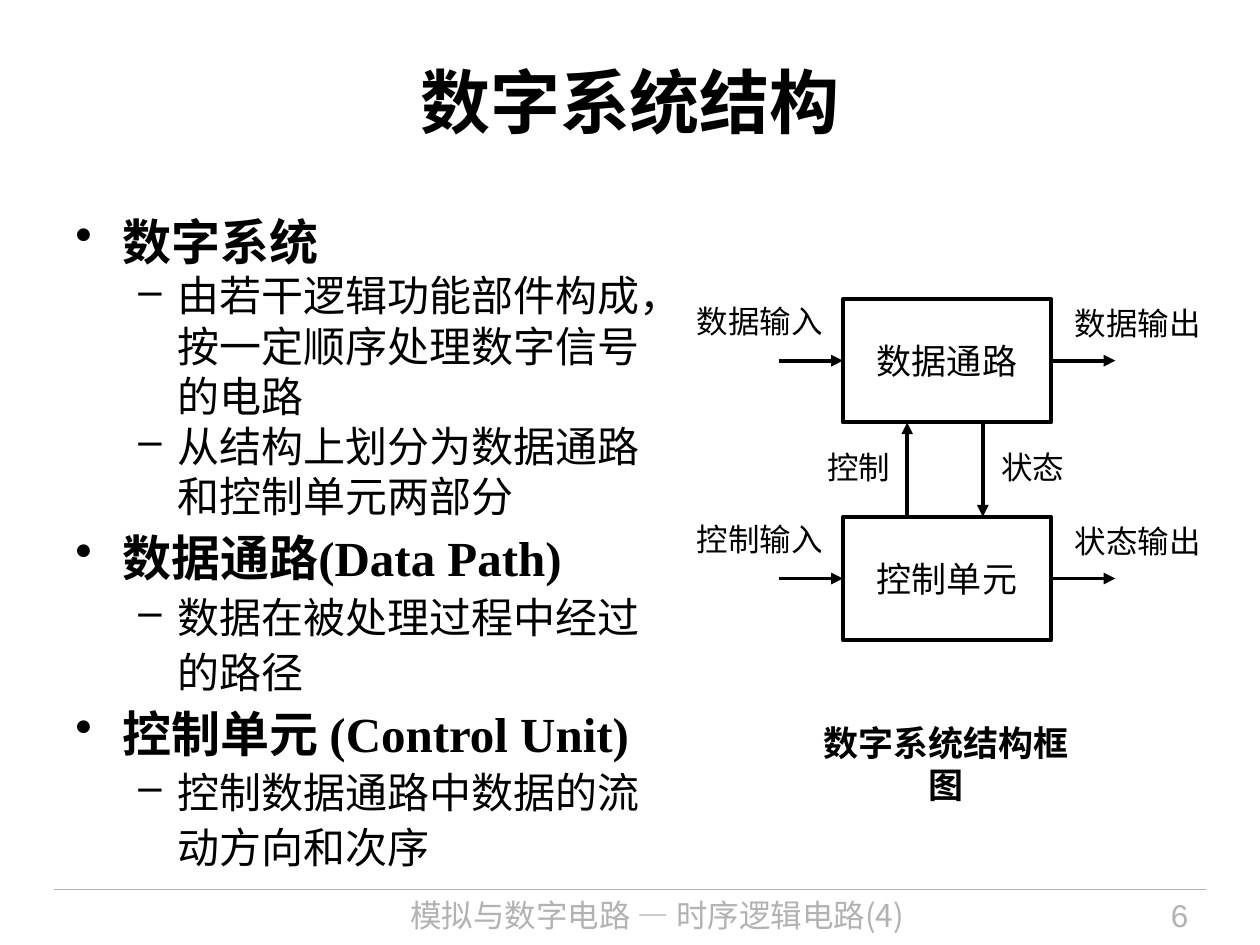
from dataclasses import dataclass

from lxml.etree import SubElement
from pptx import Presentation
from pptx.dml.color import RGBColor
from pptx.enum.shapes import MSO_CONNECTOR, MSO_SHAPE
from pptx.enum.text import MSO_ANCHOR, PP_ALIGN
from pptx.oxml.ns import qn
from pptx.util import Pt


@dataclass(frozen=True)
class Theme:
    """Colours, fonts and type sizes of the slide."""
    ink: RGBColor = RGBColor(0, 0, 0)
    muted: RGBColor = RGBColor(0xB2, 0xB2, 0xB2)
    serif: str = "Times New Roman"
    sans: str = "Arial"
    chinese: str = "Noto Sans CJK SC"
    title: float = 40
    heading: float = 28
    body: float = 24
    block: float = 20
    label: float = 18


THEME = Theme()
BODY = [
    ("数字系统", 0, 37),
    ("由若干逻辑功能部件构成，按一定顺序处理数字信号的电路", 1, 28.7),
    ("从结构上划分为数据通路和控制单元两部分", 1, 28.7),
    ("数据通路(Data Path)", 0, 37.5),
    ("数据在被处理过程中经过的路径", 1, 31.4),
    ("控制单元 (Control Unit)", 0, 37.5),
    ("控制数据通路中数据的流动方向和次序", 1, 31.4),
]
BLOCK_LEFT, BLOCK_WIDTH, BLOCK_HEIGHT = 481.7, 119, 70.6
ARROW_LENGTH = 36.7
BLOCKS = [("数据通路", "数据输入", "数据输出", 170.8), ("控制单元", "控制输入", "状态输出", 295.3)]


def set_font(paragraph, size, name=THEME.serif, color=THEME.ink, bold=False):
    """Set the font of a whole paragraph, for Latin and Chinese text."""
    font = paragraph.font
    font.size, font.bold = Pt(size), bold
    font.color.rgb = color
    font.name = name
    defaults = paragraph._p.pPr.find(qn("a:defRPr"))
    SubElement(defaults, qn("a:ea"), typeface=THEME.chinese)


def add_text(slide, text, box, size, align=PP_ALIGN.LEFT, wrap=False, anchor=MSO_ANCHOR.TOP, **font):
    """Add a one-paragraph text box."""
    frame = slide.shapes.add_textbox(*map(Pt, box)).text_frame
    frame.word_wrap, frame.vertical_anchor = wrap, anchor
    paragraph = frame.paragraphs[0]
    paragraph.text, paragraph.alignment = text, align
    set_font(paragraph, size, **font)


def add_outline(slide, box):
    """Add the two-level bulleted text."""
    frame = slide.shapes.add_textbox(*map(Pt, box)).text_frame
    frame.word_wrap = True
    for index, (text, level, spacing) in enumerate(BODY):
        paragraph = frame.add_paragraph() if index else frame.paragraphs[0]
        paragraph.text, paragraph.level = text, level
        paragraph.line_spacing = Pt(spacing)
        margin, hanging = ((27, 27), (58.5, 22.5))[level]
        properties = paragraph._p.get_or_add_pPr()
        properties.set("marL", str(Pt(margin)))
        properties.set("indent", str(-Pt(hanging)))
        bullet_color = SubElement(properties, qn("a:buClr"))
        SubElement(bullet_color, qn("a:srgbClr"), val=str(THEME.ink))
        SubElement(properties, qn("a:buChar"), char="•–"[level])
        set_font(paragraph, (THEME.heading, THEME.body)[level], bold=level == 0)


def add_line(slide, start, end, color=THEME.ink, width=2.25, arrow=True):
    """Add a straight connector, with an arrowhead at its end by default."""
    connector = slide.shapes.add_connector(MSO_CONNECTOR.STRAIGHT, *map(Pt, (*start, *end)))
    connector.line.color.rgb, connector.line.width = color, Pt(width)
    if arrow:
        SubElement(connector.line._get_or_add_ln(), qn("a:tailEnd"), type="triangle")
    SubElement(connector._element.spPr, qn("a:effectLst"))
    return connector


def add_block(slide, text, top):
    """Add an outlined rectangle of the block diagram."""
    box = map(Pt, (BLOCK_LEFT, top, BLOCK_WIDTH, BLOCK_HEIGHT))
    shape = slide.shapes.add_shape(MSO_SHAPE.RECTANGLE, *box)
    shape.shadow.inherit = False
    shape.fill.background()
    shape.line.color.rgb, shape.line.width = THEME.ink, Pt(2.25)
    frame = shape.text_frame
    frame.margin_left = frame.margin_right = frame.margin_top = frame.margin_bottom = 0
    frame.word_wrap, frame.vertical_anchor = False, MSO_ANCHOR.MIDDLE
    paragraph = frame.paragraphs[0]
    paragraph.text, paragraph.alignment = text, PP_ALIGN.CENTER
    set_font(paragraph, THEME.block)
    return shape


def add_diagram(slide):
    """Add both blocks, their inputs and outputs, and the signals between them."""
    right = BLOCK_LEFT + BLOCK_WIDTH
    for name, source, target, top in BLOCKS:
        block = add_block(slide, name, top)
        middle = top + BLOCK_HEIGHT / 2
        incoming = add_line(slide, (BLOCK_LEFT - ARROW_LENGTH, middle), (BLOCK_LEFT, middle))
        incoming.end_connect(block, 1)
        outgoing = add_line(slide, (right, middle), (right + ARROW_LENGTH, middle))
        outgoing.begin_connect(block, 3)
        add_text(slide, source, (391, top - 1.5, 86.4, 28.8), THEME.label)
        add_text(slide, target, (607, top - 0.5, 86.4, 28.8), THEME.label)
    upper, lower = BLOCKS[0][-1] + BLOCK_HEIGHT, BLOCKS[1][-1]
    add_line(slide, (518.4, lower), (518.4, upper))
    add_line(slide, (561.6, upper), (561.6, lower))
    add_text(slide, "控制", (465.8, 252.4, 50.4, 28.8), THEME.label)
    add_text(slide, "状态", (565.2, 252.4, 50.4, 28.8), THEME.label)
    add_text(slide, "数字系统结构框图", (453.6, 409, 174.2, 31.7), THEME.block,
             PP_ALIGN.CENTER, name=THEME.sans, bold=True)


def main():
    """Build and save the slide."""
    presentation = Presentation()
    presentation.slide_width, presentation.slide_height = Pt(720), Pt(540)
    slide = presentation.slides.add_slide(presentation.slide_layouts[6])
    add_line(slide, (31, 508.3), (689, 508.3), THEME.muted, 0.75, arrow=False)
    add_text(slide, "模拟与数字电路 — 时序逻辑电路(4)", (172.8, 508.3, 405.4, 31.7), THEME.label,
             PP_ALIGN.CENTER, wrap=True, name=THEME.chinese, color=THEME.muted)
    add_text(slide, "6", (590.4, 508.3, 95.8, 31.7), THEME.label,
             PP_ALIGN.RIGHT, wrap=True, name=THEME.sans, color=THEME.muted)
    add_text(slide, "数字系统结构", (36, 12.2, 648, 90), THEME.title,
             PP_ALIGN.CENTER, wrap=True, anchor=MSO_ANCHOR.MIDDLE, bold=True)
    add_outline(slide, (36, 113.8, 344.2, 388))
    add_diagram(slide)
    presentation.save("out.pptx")


if __name__ == "__main__":
    main()
